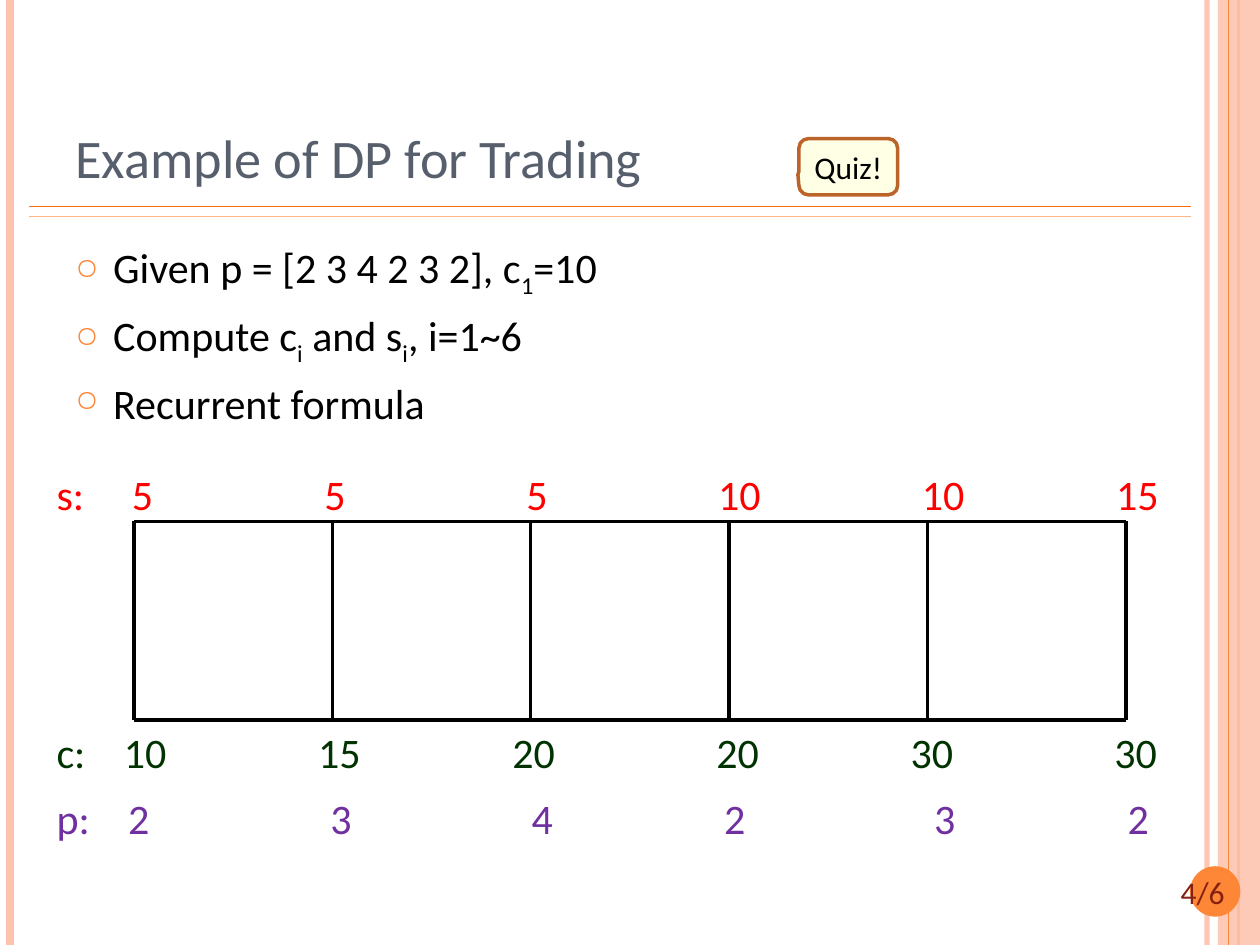
from pptx import Presentation
from pptx.dml.color import RGBColor
from pptx.enum.shapes import MSO_CONNECTOR, MSO_SHAPE as Shape
from pptx.enum.text import MSO_ANCHOR as Anchor, PP_ALIGN as Align
from pptx.oxml.ns import qn
from pptx.util import Pt
from lxml.etree import SubElement

BLACK = RGBColor(0x00, 0x00, 0x00)
SLATE = RGBColor(0x57, 0x5F, 0x6D)
PEACH = RGBColor(0xFE, 0xC3, 0xAE)
ORANGE = RGBColor(0xFE, 0x86, 0x37)
DEEP_ORANGE = RGBColor(0xFF, 0x6B, 0x0A)
LIGHT_ORANGE = RGBColor(0xFE, 0xB6, 0x87)
BROWN = RGBColor(0x86, 0x21, 0x10)
RUST = RGBColor(0xBC, 0x63, 0x29)
CREAM = RGBColor(0xFF, 0xFF, 0xCC)
RED = RGBColor(0xFF, 0x00, 0x00)
GREEN = RGBColor(0x00, 0x33, 0x00)
PURPLE = RGBColor(0x70, 0x30, 0xA0)

deck = Presentation()
deck.slide_width, deck.slide_height = Pt(720), Pt(540)
page = deck.slides.add_slide(deck.slide_layouts[6])
shapes = page.shapes


def add_line(x1, y1, x2, y2, color, width):
    line = shapes.add_connector(MSO_CONNECTOR.STRAIGHT, Pt(x1), Pt(y1), Pt(x2), Pt(y2))
    line.line.color.rgb = color
    line.line.width = Pt(width)
    SubElement(line._element.spPr, qn("a:effectLst"))
    return line


def style(paragraph, size, color):
    paragraph.font.name = "Calibri"
    paragraph.font.size = Pt(size)
    paragraph.font.color.rgb = color


# Side bands and title rules
edge = add_line(689.8, 0, 689.8, 540, PEACH, 3)
add_line(5.8, 0, 5.8, 540, PEACH, 4.5)
add_line(707.8, 0, 707.8, 540, ORANGE, 1.5)
band = shapes.add_shape(Shape.RECTANGLE, Pt(696), Pt(0), Pt(24), Pt(540))
add_line(702, 0, 702, 540, ORANGE, 0.75)
add_line(16.6, 118, 680.4, 118, DEEP_ORANGE, 1)
add_line(16.6, 123.8, 680.4, 123.8, LIGHT_ORANGE, 1)
disc = shapes.add_shape(Shape.OVAL, Pt(680), Pt(495), Pt(28.8), Pt(28.8))
for shape, color in ((band, PEACH), (disc, ORANGE)):
    shape.shadow.inherit = False
    shape.fill.solid()
    shape.fill.fore_color.rgb = color
    shape.line.fill.background()

# Slide number
number = shapes.add_textbox(Pt(654.5), Pt(495.4), Pt(65.5), Pt(28.8))
number.text_frame.word_wrap = True
para = number.text_frame.paragraphs[0]
para.text = "4/6"
para.alignment = Align.CENTER
style(para, 18, BROWN)

# Title
title = shapes.add_textbox(Pt(36), Pt(21.6), Pt(588), Pt(90))
title.text_frame.word_wrap = True
title.text_frame.vertical_anchor = Anchor.BOTTOM
para = title.text_frame.paragraphs[0]
para.text = "Example of DP for Trading"
style(para, 31, SLATE)

# Bullets: every second piece of a line is a subscript
BULLETS = [
    ["Given p = [2 3 4 2 3 2], c", "1", "=10"],
    ["Compute c", "i", " and s", "i", ", i=1~6"],
    ["Recurrent formula"],
]
body = shapes.add_textbox(Pt(36), Pt(134.6), Pt(588), Pt(375))
body.text_frame.word_wrap = True
for index, pieces in enumerate(BULLETS):
    para = body.text_frame.paragraphs[0] if index == 0 else body.text_frame.add_paragraph()
    para.space_before = Pt(6)
    style(para, 24, BLACK)
    props = para._p.get_or_add_pPr()
    props.set("marL", str(Pt(21.6)))
    props.set("indent", str(-Pt(21.6)))
    bullet_color = props.makeelement(qn("a:buClr"))
    SubElement(bullet_color, qn("a:srgbClr"), val=str(ORANGE))
    bullet_size = props.makeelement(qn("a:buSzPct"), val="70000")
    bullet_char = props.makeelement(qn("a:buChar"), char="○")
    for place, element in enumerate((bullet_color, bullet_size, bullet_char), start=1):
        props.insert(place, element)  # after the spacing, before the font
    for position, piece in enumerate(pieces):
        span = para.add_run()
        span.text = piece
        if position % 2:
            span._r.get_or_add_rPr().set("baseline", "-25000")

# Trading grid: five square cells
LEFT, TOP, CELL, CELLS = 76.5, 298, 113.4, 5
RIGHT, BOTTOM = LEFT + CELLS * CELL, TOP + CELL
for y in (TOP, BOTTOM):
    add_line(LEFT, y, RIGHT, y, BLACK, 2)
for column in range(CELLS + 1):
    x = LEFT + column * CELL
    add_line(x, TOP, x, BOTTOM, BLACK, 2)

# Quiz callout
quiz = shapes.add_shape(Shape.ROUNDED_RECTANGULAR_CALLOUT, Pt(456.5), Pt(79.2), Pt(56.5), Pt(32.2))
for index, value in enumerate((-0.51, 0.14, 0.17)):
    quiz.adjustments[index] = value
quiz.shadow.inherit = False
quiz.fill.solid()
quiz.fill.fore_color.rgb = CREAM
quiz.line.color.rgb = RUST
quiz.line.width = Pt(2)
quiz.text_frame.word_wrap = False
quiz.text_frame.vertical_anchor = Anchor.MIDDLE
para = quiz.text_frame.paragraphs[0]
para.text = "Quiz!"
para.alignment = Align.CENTER
style(para, 18, BLACK)

# Transparency of the edge line, the band and the callout
for element, alpha in ((edge.line.fill, 93), (band.fill, 87), (quiz.fill, 50)):
    color = element._xPr.find(qn("a:solidFill"))[0]
    SubElement(color, qn("a:alpha"), val=str(alpha * 1000))

# Value rows: top, colour, label, values, tab stops
ROWS = [
    (449.3, PURPLE, "p:", (2, 3, 4, 2, 3, 2), (41, 156.5, 271.5, 381.5, 501.5, 612)),
    (411.8, GREEN, "c:", (10, 15, 20, 20, 30, 30), (38.5, 149.5, 260.5, 377, 488, 604.5)),
    (264.2, RED, "s:", (5, 5, 5, 10, 10, 15), (43, 153, 268.5, 378, 494.5, 605.5)),
]
for top, color, label, values, stops in ROWS:
    row = shapes.add_textbox(Pt(25.2), Pt(top), Pt(650), Pt(36))
    row.text_frame.word_wrap = False
    para = row.text_frame.paragraphs[0]
    para.text = "\t".join([label, *map(str, values)])
    style(para, 24, color)
    props = para._p.get_or_add_pPr()
    tabs = props.makeelement(qn("a:tabLst"))
    for stop in stops:
        SubElement(tabs, qn("a:tab"), pos=str(Pt(stop)), algn="l")
    props.insert(0, tabs)

deck.save("out.pptx")
